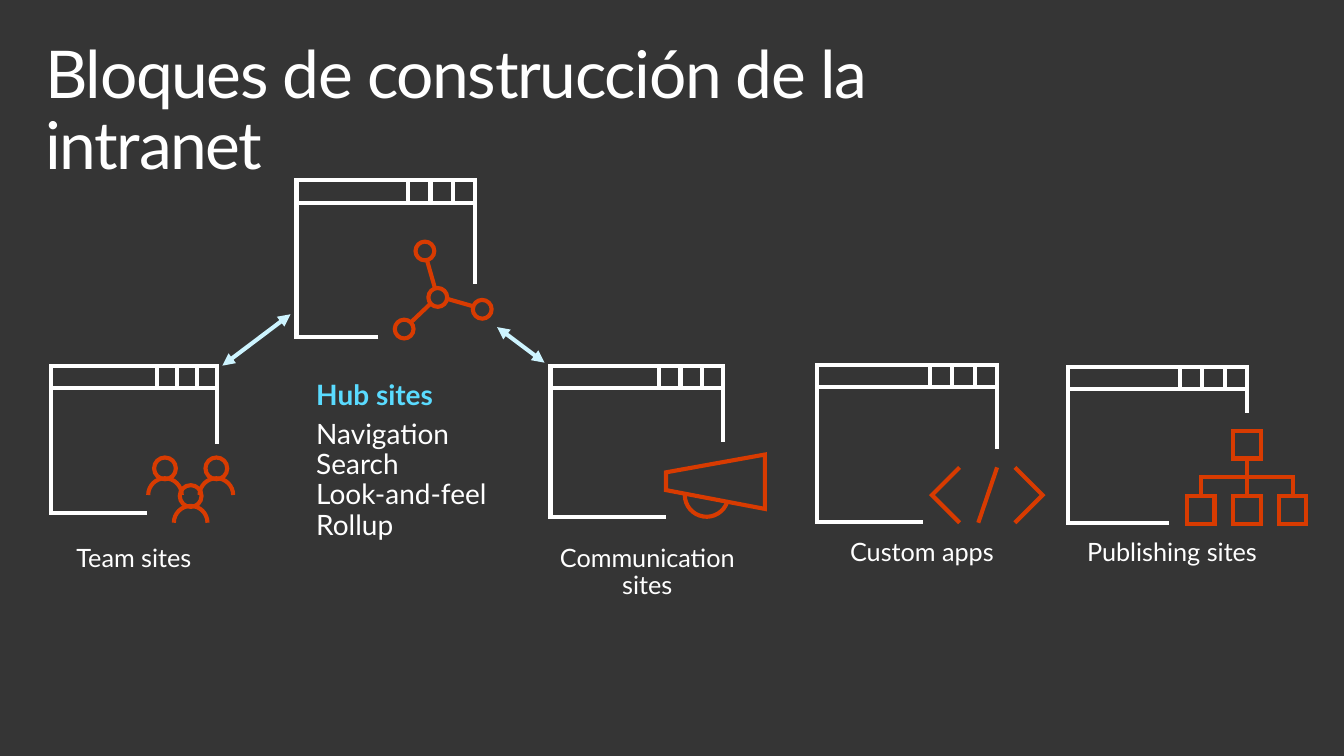
from math import ceil, cos, radians, sin, tan

from lxml import etree
from pptx import Presentation
from pptx.dml.color import RGBColor
from pptx.enum.shapes import MSO_CONNECTOR
from pptx.enum.text import MSO_AUTO_SIZE, PP_ALIGN
from pptx.oxml.ns import qn
from pptx.util import Inches, Pt

LEFT, CENTER = PP_ALIGN.LEFT, PP_ALIGN.CENTER
GROW, FIXED = MSO_AUTO_SIZE.SHAPE_TO_FIT_TEXT, MSO_AUTO_SIZE.NONE
STRAIGHT = MSO_CONNECTOR.STRAIGHT

COLORS = {"back": "353535", "white": "FFFFFF", "icon": "D83B01",
          "arrow": "CDF4FF", "hub": "5ADBFF"}
FONT = "Lato"
BAR = 0.23
STROKE = 3

TITLE = "Bloques de construcción de la intranet"
HUB = ["Hub sites", "Navigation", "Search", "Look-and-feel", "Rollup"]
LABELS = [
    ("Communication sites", 5.39, 5.52, 2.32),
    ("Publishing sites", 10.93, 5.46, 1.86),
    ("Custom apps", 8.4, 5.46, 1.86),
    ("Team sites", 0.5, 5.52, 1.71),
]
ARROWS = [((2.94, 3.18), (2.25, 3.7)), ((5.51, 3.67), (5.03, 3.31))]


def arc(x, y, r, start=0, end=360):
    """Return Bezier points along a circular arc, three to each part."""
    parts = ceil(abs(end - start) / 90)
    step = radians(end - start) / parts
    pull = 4 / 3 * tan(step / 4)
    points = [(x + r * cos(radians(start)), y + r * sin(radians(start)))]
    for i in range(parts):
        a = radians(start) + step * i
        b = a + step
        points += [(x + r * (cos(a) - pull * sin(a)), y + r * (sin(a) + pull * cos(a))),
                   (x + r * (cos(b) + pull * sin(b)), y + r * (sin(b) - pull * cos(b))),
                   (x + r * cos(b), y + r * sin(b))]
    return [(round(px, 3), round(py, 3)) for px, py in points]


def box(x, y, side=0.28):
    """Return a closed square."""
    return [(x, y), (x + side, y), (x + side, y + side), (x, y + side), (x, y)]


def frame(left, top, right, bottom, foot, edge, span):
    """Return the open browser window with its title bar and buttons."""
    bar = top + BAR
    ticks = [right - span * i / 3 for i in (1, 2, 3)]
    return [[(foot, bottom), (left, bottom), (left, top), (right, top), (right, edge)],
            [(left, bar), (right, bar)],
            *[[(x, top), (x, bar)] for x in ticks]]


HEADS = [(2.19, 4.74), (1.93, 5.02), (1.67, 4.74)]
PEOPLE = ([arc(x, y, 0.11) for x, y in HEADS]
          + [arc(x, y + 0.27, 0.17, 180, 360) for x, y in HEADS])
HORN = [[(7.74, 5.15), (6.74, 4.96), (6.74, 4.78), (7.74, 4.6), (7.74, 5.15)]]
CODE = [[(9.71, 5.29), (9.43, 5.01), (9.71, 4.73)],
        [(9.9, 5.29), (10.09, 4.73)],
        [(10.27, 5.29), (10.55, 5.01), (10.27, 4.73)]]
TREE = [*[box(x, 5.02) for x in (12.01, 12.48, 12.94)], box(12.48, 4.36),
        [(13.08, 5.02), (13.08, 4.83), (12.15, 4.83), (12.15, 5.02)],
        [(12.62, 4.64), (12.62, 5.02)]]
NODES = [(4.43, 3.01), (4.09, 3.33), (4.3, 2.54), (4.88, 3.13)]
LINKS = [[(4.36, 3.07), (4.15, 3.27)], [(4.4, 2.91), (4.32, 2.63)],
         [(4.51, 3.02), (4.79, 3.1)]]
SITES = [
    ((0.52, 3.7, 2.2, 5.19, 1.49, 4.49, 0.61), PEOPLE, []),
    ((8.27, 3.69, 10.09, 5.28, 9.34, 4.54, 0.68), [], CODE),
    ((10.81, 3.71, 12.62, 5.29, 11.83, 4.18, 0.68), [], TREE),
    ((3, 1.82, 4.81, 3.41, 3.83, 2.87, 0.68),
     [arc(x, y, 0.19 / 2) for x, y in NODES], LINKS),
    ((5.57, 3.7, 7.32, 5.23, 6.74, 4.47, 0.65),
     [arc(7.15, 5.01, 0.22, 180, 18)], HORN),
]


def apply(target, values):
    """Set attributes from a dict."""
    for key, value in values.items():
        setattr(target, key, value)


def ink(name):
    """Return a named colour."""
    return RGBColor.from_string(COLORS[name])


def bend(shape, count):
    """Turn the first straight segments, three by three, into curves."""
    steps = list(shape.element.iter(qn("a:lnTo")))[:count]
    for i in range(0, count, 3):
        curve = etree.Element(qn("a:cubicBezTo"))
        steps[i].addprevious(curve)
        for step in steps[i:i + 3]:
            curve.append(step[0])
            step.getparent().remove(step)


def draw(slide, curves, lines, color):
    """Draw curves and lines as one unfilled outline."""
    pen = None
    for stroke in curves + lines:
        points = [(Inches(x), Inches(y)) for x, y in stroke]
        if pen:
            pen.move_to(*points[0])
        else:
            pen = slide.shapes.build_freeform(*points[0])
        pen.add_line_segments(points[1:], close=stroke[0] == stroke[-1])
    shape = pen.convert_to_shape()
    bend(shape, sum(len(curve) - 1 for curve in curves))
    shape.shadow.inherit = False
    shape.fill.background()
    shape.line.color.rgb = ink(color)
    shape.line.width = Pt(STROKE)
    line = shape.element.spPr.find(qn("a:ln"))
    etree.SubElement(line, qn("a:miter"), lim="800000")
    return shape


def link(slide, start, end):
    """Draw a two-headed arrow."""
    arrow = slide.shapes.add_connector(STRAIGHT, *map(Inches, start + end))
    arrow.line.color.rgb = ink("arrow")
    arrow.line.width = Pt(STROKE)
    props = arrow.element.spPr
    for tag in ("a:headEnd", "a:tailEnd"):
        etree.SubElement(props.find(qn("a:ln")), qn(tag), type="triangle")
    etree.SubElement(props, qn("a:effectLst"))


def write(slide, place, lines, pad, wrap=True, size=GROW, align=LEFT):
    """Write lines of (text, points, colour, bold, space after)."""
    body = slide.shapes.add_textbox(*map(Inches, place)).text_frame
    side, top = map(Inches, pad)
    apply(body, {"margin_left": side, "margin_right": side, "margin_top": top,
                 "margin_bottom": top, "word_wrap": wrap, "auto_size": size})
    for i, (text, points, color, bold, after) in enumerate(lines):
        para = body.add_paragraph() if i else body.paragraphs[0]
        apply(para, {"alignment": align, "line_spacing": 0.9, "space_after": Pt(after)})
        run = para.add_run()
        run.text = text
        apply(run.font, {"name": FONT, "size": Pt(points), "bold": bold})
        run.font.color.rgb = ink(color)
    return body


def main():
    """Build the slide."""
    deck = Presentation()
    apply(deck, {"slide_width": Inches(13.6), "slide_height": Inches(7.65)})
    slide = deck.slides.add_slide(deck.slide_layouts[6])
    slide.background.fill.solid()
    slide.background.fill.fore_color.rgb = ink("back")

    for window, curves, lines in SITES:
        parts = [draw(slide, [], frame(*window), "white"),
                 draw(slide, curves, lines, "icon")]
        slide.shapes.add_group_shape(parts)
    for start, end in ARROWS:
        link(slide, start, end)

    hub = [(HUB[0], 20.4, "hub", True, 6.1)]
    hub += [(text, 20.4, "white", False, 0) for text in HUB[1:]]
    write(slide, (3, 3.7, 2.18, 1.99), hub, (0.2, 0.16), wrap=False)
    for text, left, top, width in LABELS:
        write(slide, (left, top, width, 0.28), [(text, 18.4, "white", False, 6.1)],
              (0, 0), align=CENTER)
    title = write(slide, (0.3, 0.32, 10.8, 1), [(TITLE, 48, "white", False, 0)],
                  (0.16, 0.1), size=FIXED)
    for props in title.paragraphs[0].runs[0]._r.iter(qn("a:rPr")):
        props.set("spc", "-102")
    deck.save("out.pptx")


if __name__ == "__main__":
    main()
